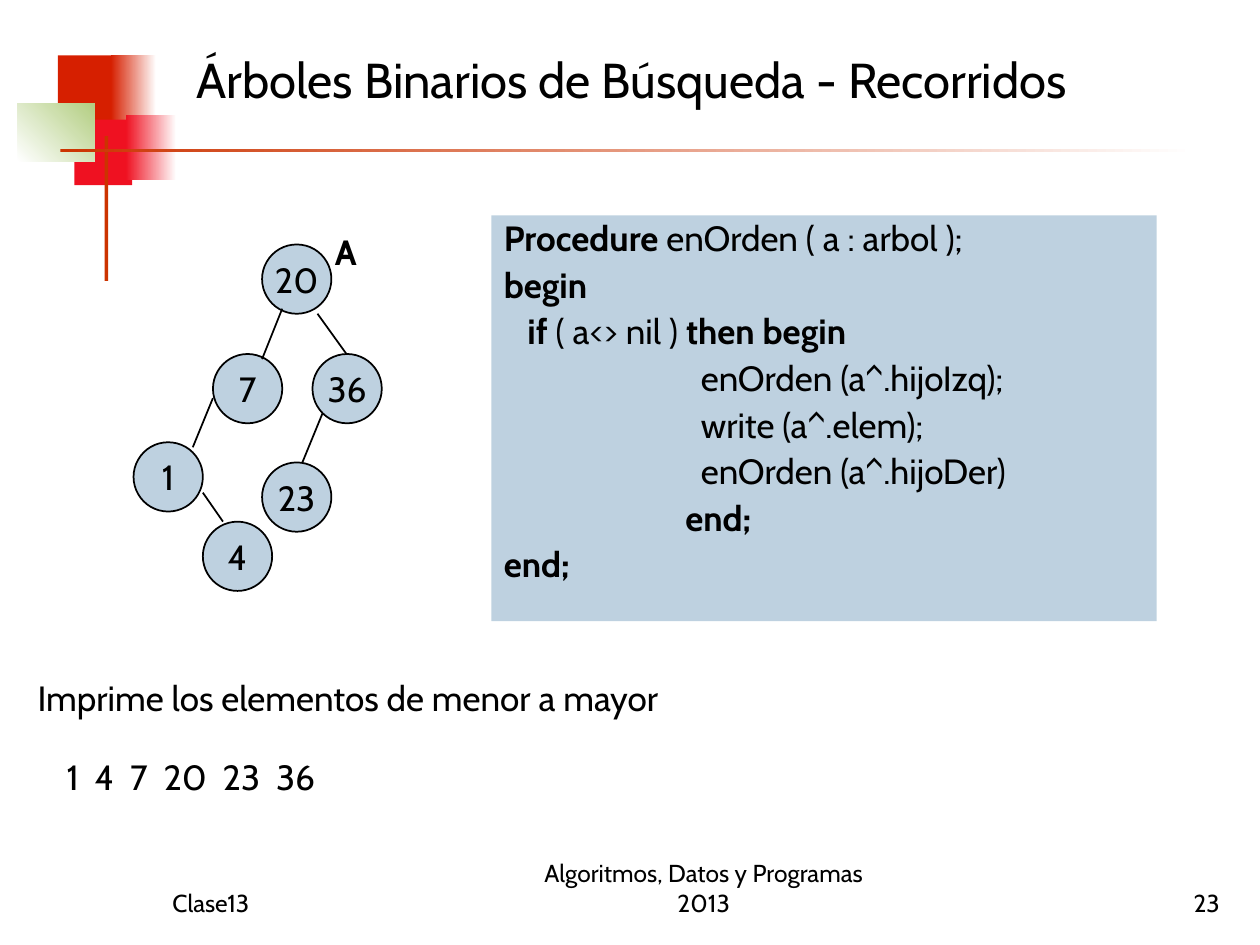
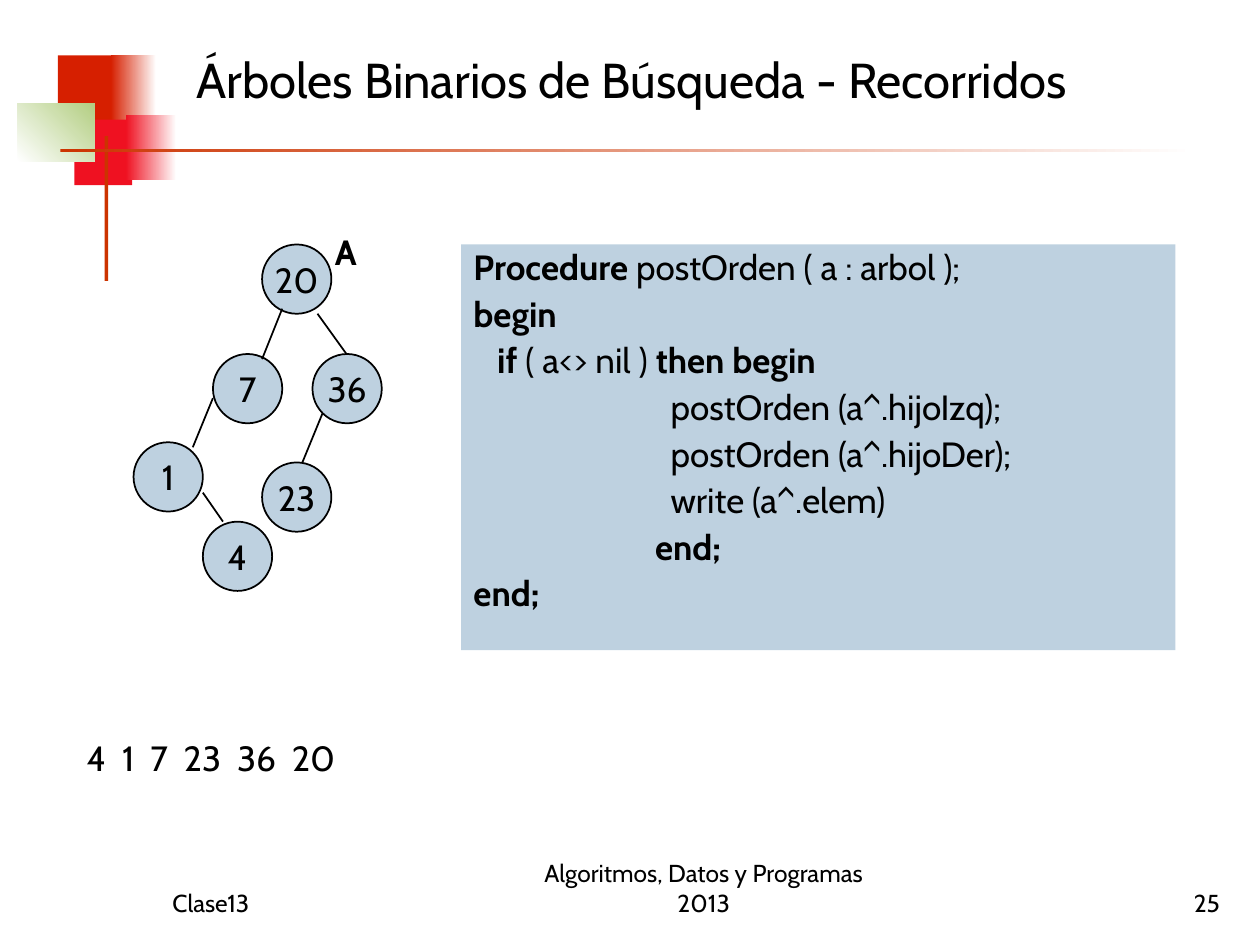
from dataclasses import dataclass

from lxml import etree
from pptx import Presentation
from pptx import util as u
from pptx.dml.color import RGBColor
from pptx.enum import shapes, text
from pptx.oxml import ns


@dataclass(frozen=True)
class Theme:
    font: str = "Cabin"
    ink: str = "000000"
    white: str = "FFFFFF"
    panel: str = "BED1E0"
    orange: str = "D61F00"
    red: str = "EF1121"
    green: str = "B3CE82"
    rule: str = "CC3300"
    title_size: int = 28
    body_size: int = 20
    footer_size: int = 14
    line_width: int = 1


THEME = Theme()
TITLE = "Árboles Binarios de Búsqueda - Recorridos"
LEFT, CENTER, RIGHT = (text.PP_ALIGN.LEFT, text.PP_ALIGN.CENTER,
                       text.PP_ALIGN.RIGHT)
TOP, MIDDLE, BOTTOM = (text.MSO_ANCHOR.TOP, text.MSO_ANCHOR.MIDDLE,
                       text.MSO_ANCHOR.BOTTOM)

# Corner ornament: left, top, width, height, colours, gradient angle
ORNAMENT = [
    (0.46, 0.44, 0.48, 0.52, [THEME.orange], 0),
    (0.88, 0.44, 0.36, 0.52, [THEME.orange, THEME.white], 0),
    (0.59, 0.95, 0.46, 0.52, [THEME.red], 0),
    (1, 0.91, 0.4, 0.52, [THEME.red, THEME.white], 0),
    (0.14, 0.82, 0.61, 0.46, [THEME.white, THEME.green], 45),
    (0.83, 1.08, 0.03, 1.15, [THEME.rule], 0),
    (0.48, 1.18, 9, 0.03, [THEME.rule, THEME.white], 0),
]

# Binary search tree: node positions and branch ends
NODE_SIZE = 0.55
NODES = {"20": (2.08, 1.94), "7": (1.69, 2.81), "36": (2.48, 2.81),
         "1": (1.06, 3.51), "4": (1.61, 4.14), "23": (2.08, 3.67)}
BRANCHES = [
    (2.24, 2.45, 2.08, 2.85),
    (2.52, 2.49, 2.75, 2.81),
    (1.69, 3.16, 1.53, 3.55),
    (1.61, 3.91, 1.77, 4.14),
    (2.56, 3.28, 2.4, 3.67),
]


def inches(*lengths):
    return [u.Inches(length) for length in lengths]


def color(value):
    return RGBColor.from_string(value)


def add_run(paragraph, words, size=THEME.body_size, bold=False):
    run = paragraph.add_run()
    run.text = words
    run.font.name = THEME.font
    run.font.size = u.Pt(size)
    run.font.bold = bold
    run.font.color.rgb = color(THEME.ink)
    return run


def set_frame(frame, anchor=TOP, wrap=True):
    frame.word_wrap = wrap
    frame.vertical_anchor = anchor
    frame.margin_left = frame.margin_right = u.Inches(0.1)
    frame.margin_top = frame.margin_bottom = u.Inches(0.05)
    return frame.paragraphs[0]


def add_label(slide, box, words, size=THEME.body_size, bold=False,
              align=LEFT, anchor=TOP):
    label = slide.shapes.add_textbox(*inches(*box))
    paragraph = set_frame(label.text_frame, anchor)
    paragraph.alignment = align
    add_run(paragraph, words, size, bold)


def fill_shape(shape, colors, angle=0):
    if len(colors) == 1:
        shape.fill.solid()
        shape.fill.fore_color.rgb = color(colors[0])
        return
    shape.fill.gradient()
    shape.fill.gradient_angle = angle
    for stop, value in zip(shape.fill.gradient_stops, colors):
        stop.color.rgb = color(value)


def add_ornament(slide, layout):
    """Build the corner ornament once and keep it in the shared layout."""
    for number, (*box, colors, angle) in enumerate(ORNAMENT, start=101):
        block = slide.shapes.add_shape(shapes.MSO_SHAPE.RECTANGLE, *inches(*box))
        block.shadow.inherit = False
        block.line.fill.background()
        fill_shape(block, colors, angle)
        block.element.nvSpPr.cNvPr.set("id", str(number))
        layout.shapes.element.append(block.element)


def add_title(slide):
    title = slide.shapes.title
    title.left, title.top, title.width, title.height = inches(1.46, 0.13, 8.11, 1)
    paragraph = set_frame(title.text_frame, MIDDLE)
    paragraph.alignment = LEFT
    add_run(paragraph, TITLE, THEME.title_size)


def add_footer(slide, number):
    for left, width, words, align in [
        (1.27, 2.08, "Clase13", LEFT),
        (4.01, 3.15, "Algoritmos, Datos y Programas 2013", CENTER),
        (7.7, 2.08, str(number), RIGHT),
    ]:
        add_label(slide, (left, 6.83, width, 0.5), words, THEME.footer_size,
                  align=align, anchor=BOTTOM)


def add_node(slide, value, left, top):
    node = slide.shapes.add_shape(
        shapes.MSO_SHAPE.OVAL, *inches(left, top, NODE_SIZE, NODE_SIZE))
    node.shadow.inherit = False
    fill_shape(node, [THEME.panel])
    node.line.color.rgb = color(THEME.ink)
    node.line.width = u.Pt(THEME.line_width)
    paragraph = set_frame(node.text_frame, MIDDLE, wrap=False)
    paragraph.alignment = CENTER
    add_run(paragraph, value)


def add_branch(slide, ends):
    branch = slide.shapes.add_connector(
        shapes.MSO_CONNECTOR.STRAIGHT, *inches(*ends))
    branch.line.color.rgb = color(THEME.ink)
    branch.line.width = u.Pt(THEME.line_width)
    etree.SubElement(branch.element.spPr, ns.qn("a:effectLst"))


def add_tree(slide):
    for value, (left, top) in NODES.items():
        add_node(slide, value, left, top)
    for ends in BRANCHES:
        add_branch(slide, ends)
    add_label(slide, (2.56, 1.78, 0.39, 0.44), "A", bold=True)


def procedure_lines(name, statements):
    """Return the code lines, each a list of (words, bold) runs."""
    return [
        [("Procedure", True), (f" {name} ( a : arbol );", False)],
        [("begin", True)],
        [("   ", False), ("if", True), (" ( a<> nil ) ", False),
         ("then begin", True)],
        *[[(" " * 25 + statement, False)] for statement in statements],
        [(" " * 23, False), ("end;", True)],
        [("end;", True)],
    ]


def add_code(slide, box, name, statements):
    panel = slide.shapes.add_textbox(*inches(*box))
    fill_shape(panel, [THEME.panel])
    paragraph = set_frame(panel.text_frame)
    for index, line in enumerate(procedure_lines(name, statements)):
        if index:
            paragraph = panel.text_frame.add_paragraph()
            paragraph.space_before = u.Pt(5)
        paragraph.line_spacing = 0.9
        for words, bold in line:
            add_run(paragraph, words, bold=bold)


def add_visit_order(slide, box, values):
    """Write the visited values with widened single spaces between them."""
    label = slide.shapes.add_textbox(*inches(*box))
    paragraph = set_frame(label.text_frame)
    for index, value in enumerate(values):
        if index:
            gap = add_run(paragraph, " ")
            gap.font._element.set("spc", "450")
        add_run(paragraph, str(value))


def add_traversal_slide(presentation, layout, number, code_box, name,
                        statements, order_box, order):
    slide = presentation.slides.add_slide(layout)
    add_title(slide)
    add_code(slide, code_box, name, statements)
    add_tree(slide)
    add_visit_order(slide, order_box, order)
    add_footer(slide, number)
    return slide


def main():
    presentation = Presentation()
    presentation.slide_width, presentation.slide_height = inches(10, 7.5)
    layout = presentation.slide_layouts[5]

    # In-order traversal
    in_order = add_traversal_slide(
        presentation, layout, 23, (3.9, 1.71, 5.28, 3.22), "enOrden",
        ["enOrden (a^.hijoIzq);", "write (a^.elem);", "enOrden (a^.hijoDer)"],
        (0.43, 5.95, 3.47, 0.44), [1, 4, 7, 20, 23, 36])
    add_label(in_order, (0.2, 5.32, 9.29, 0.44),
              "Imprime los elementos de menor a mayor")
    add_ornament(in_order, layout)

    # Post-order traversal
    add_traversal_slide(
        presentation, layout, 25, (3.66, 1.94, 5.67, 3.22), "postOrden",
        ["postOrden (a^.hijoIzq);", "postOrden (a^.hijoDer);",
         "write (a^.elem)"],
        (0.59, 5.8, 3.86, 0.44), [4, 1, 7, 23, 36, 20])

    presentation.save("out.pptx")


if __name__ == "__main__":
    main()
